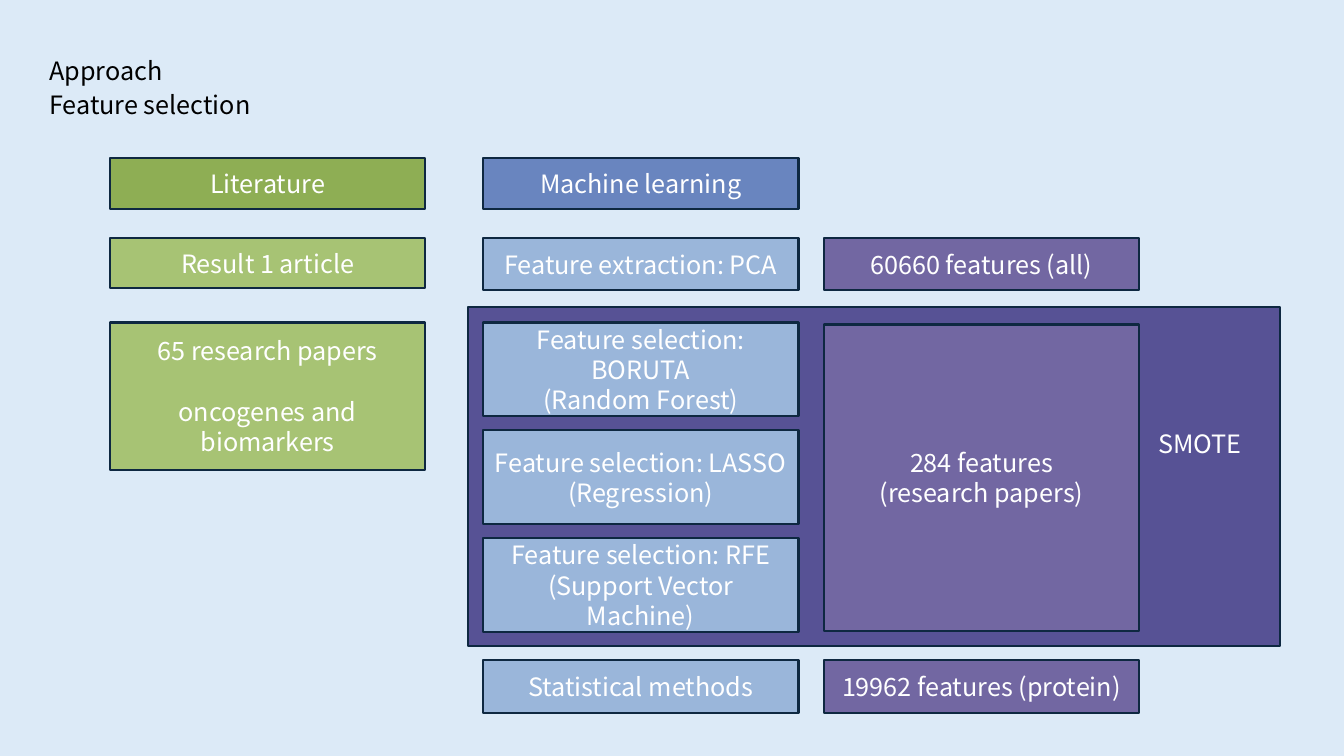
from pptx import Presentation
from pptx import util as u
from pptx.dml.color import RGBColor
from pptx.enum import shapes, text

COLORS = {
    "page": "DCEAF7", "outline": "0E2841", "black": "000000", "white": "FFFFFF",
    "literature": "8EAE54", "paper": "A7C374", "learning": "6985BF",
    "method": "9AB6DA", "features": "7267A2", "smote": "575295",
}
FONT = "Noto Sans CJK JP"
LINE = 21.7
BOX_WIDTH = 3.13
COLUMNS = {"literature": 1.09, "method": 4.79, "features": 8.17}
ROWS = {"heading": (1.57, 0.5), "result": (2.36, 0.5), "top": (2.36, 0.52),
        "papers": (3.2, 1.46), "selected": (3.22, 3.04), "bottom": (6.55, 0.52)}
SELECTION_TOP, SELECTION_HEIGHT, SELECTION_STEP = 3.2, 0.93, 1.07
SELECTIONS = ["BORUTA\v(Random Forest)", "LASSO\v(Regression)",
              "RFE\v(Support Vector Machine)"]


def color(name):
    return RGBColor.from_string(COLORS[name])


def apply(target, values):
    for name, value in values.items():
        setattr(target, name, value)


def write(shape, lines, ink, align, anchor, gap=0):
    frame = shape.text_frame
    frame.text = "\n".join(lines)
    apply(frame, {"word_wrap": True, "vertical_anchor": anchor,
                  "auto_size": text.MSO_AUTO_SIZE.NONE})
    for index, para in enumerate(frame.paragraphs):
        apply(para, {"alignment": align, "space_before": u.Pt(gap if index else 0)})
        for span in para.runs:
            apply(span.font, {"name": FONT, "size": u.Pt(18)})
            span.font.color.rgb = color(ink)


def add_box(page, left, top, width, height, fill):
    box = page.shapes.add_shape(shapes.MSO_SHAPE.RECTANGLE,
                                *map(u.Inches, (left, top, width, height)))
    box.shadow.inherit = False
    box.fill.solid()
    box.fill.fore_color.rgb = color(fill)
    box.line.color.rgb = color("outline")
    box.line.width = u.Pt(1.5)
    return box


def add_cell(page, column, row, fill, *lines, gap=0):
    top, height = row
    box = add_box(page, COLUMNS[column], top, BOX_WIDTH, height, fill)
    write(box, lines, "white", text.PP_ALIGN.CENTER, text.MSO_ANCHOR.MIDDLE, gap)


def add_label(page, left, top, width, wording, ink):
    label = page.shapes.add_textbox(*map(u.Inches, (left, top, width, 0.4)))
    write(label, [wording], ink, text.PP_ALIGN.LEFT, text.MSO_ANCHOR.TOP)


def add_title(page, wording):
    title = page.shapes.title
    apply(title, {"left": u.Inches(0.39), "top": u.Inches(0.5),
                  "width": u.Inches(5.52), "height": u.Inches(0.4)})
    write(title, [wording], "black", text.PP_ALIGN.LEFT, text.MSO_ANCHOR.TOP)


def main():
    deck = Presentation()
    apply(deck, {"slide_width": u.Inches(13.33), "slide_height": u.Inches(7.5)})
    page = deck.slides.add_slide(deck.slide_layouts[5])
    page.background.fill.solid()
    page.background.fill.fore_color.rgb = color("page")

    add_box(page, 4.64, 3.05, 8.06, 3.36, "smote")
    add_title(page, "Approach")
    add_label(page, 0.39, 0.84, 2.37, "Feature selection", "black")

    add_cell(page, "literature", ROWS["heading"], "literature", "Literature")
    add_cell(page, "literature", ROWS["result"], "paper", "Result 1 article")
    add_cell(page, "literature", ROWS["papers"], "paper",
             "65 research papers", "oncogenes and biomarkers", gap=LINE)

    add_cell(page, "method", ROWS["heading"], "learning", "Machine learning")
    add_cell(page, "method", ROWS["top"], "method", "Feature extraction: PCA")
    for index, name in enumerate(SELECTIONS):
        row = (SELECTION_TOP + index * SELECTION_STEP, SELECTION_HEIGHT)
        add_cell(page, "method", row, "method", f"Feature selection: {name}")
    add_cell(page, "method", ROWS["bottom"], "method", "Statistical methods")

    add_cell(page, "features", ROWS["top"], "features", "60660 features (all)")
    add_cell(page, "features", ROWS["selected"], "features",
             "284 features", "(research papers)")
    add_cell(page, "features", ROWS["bottom"], "features", "19962 features (protein)")
    add_label(page, 11.39, 4.2, 1.05, "SMOTE", "white")

    deck.save("out.pptx")


if __name__ == "__main__":
    main()
